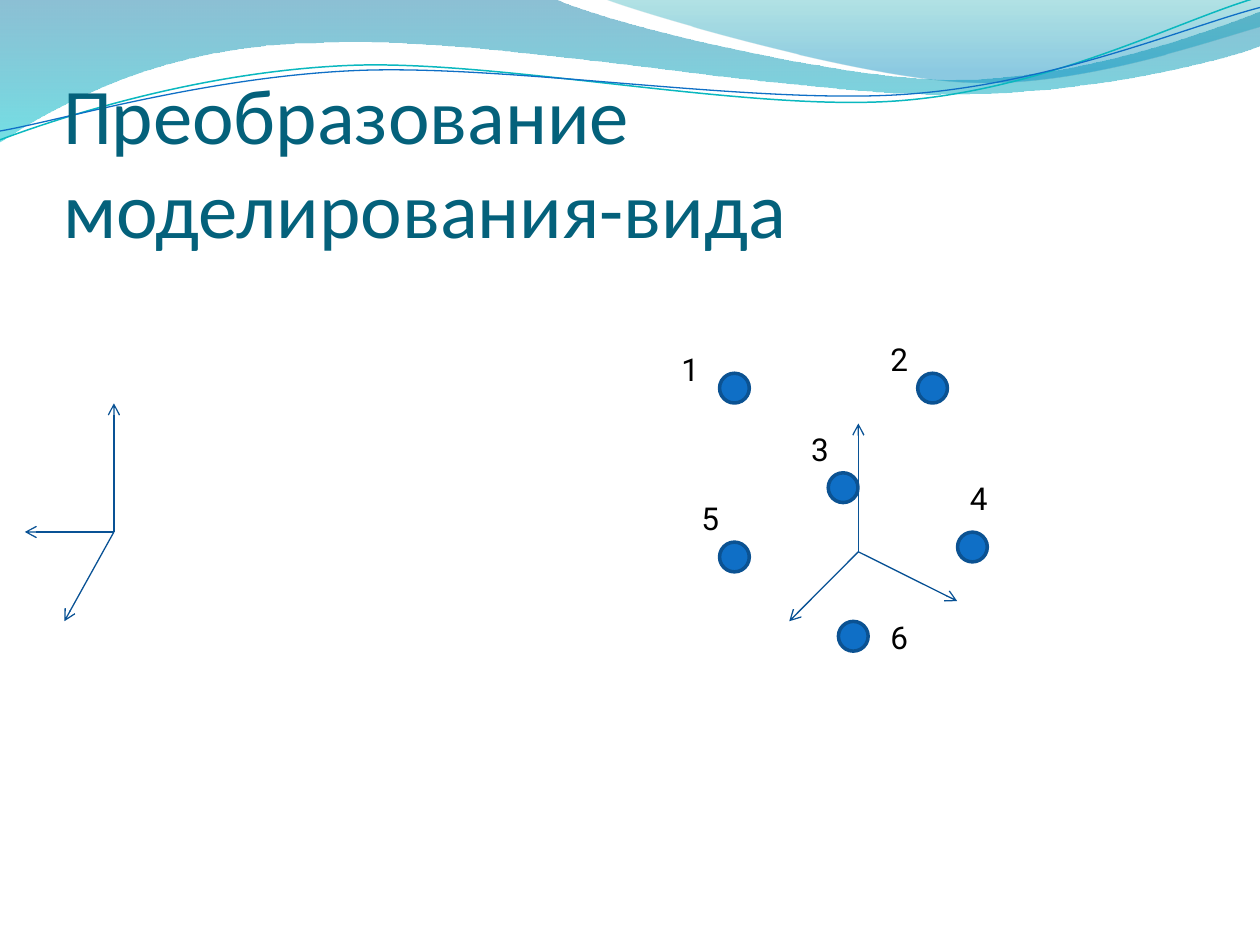
import math
from dataclasses import dataclass

import pptx
import pptx.dml.color
import pptx.enum.shapes
import pptx.enum.text
import pptx.oxml.ns
import pptx.util
from lxml import etree

Pt = pptx.util.Pt
qn = pptx.oxml.ns.qn
rgb = pptx.dml.color.RGBColor.from_string


@dataclass
class Theme:
    title_font: str = "Calibri"
    label_font: str = "Roboto"
    title_size: float = 45
    label_size: float = 18
    title: str = "04617B"
    label: str = "000000"
    vertex: str = "0F6FC6"
    vertex_edge: str = "0B5292"
    axis: str = "095295"
    teal_line: str = "0AB8BF"
    blue_line: str = "0F6FC6"
    long_wave: tuple = ((0, "0074A1", 45), (100, "00C6CF", 55))
    short_wave: tuple = ((0, "00A1A9", 30), (80, "008BBF", 45))


def add_curve(slide, master, segments, close):
    points = [(Pt(x), Pt(y)) for segment in segments for x, y in segment]
    builder = slide.shapes.build_freeform(*points[0])
    builder.add_line_segments(points[1:], close=close)
    shape = builder.convert_to_shape()
    shape.shadow.inherit = False
    corners = iter(shape.element.xpath(".//a:lnTo"))
    for segment in segments[1:]:
        first = next(corners)
        if len(segment) == 3:
            first.tag = qn("a:cubicBezTo")
            for _ in range(2):
                control = next(corners)
                first.append(control[0])
                control.getparent().remove(control)
    shape.element.nvSpPr.cNvPr.set("id", str(100 + len(master.shapes)))
    master.shapes.element.append(shape.element)
    return shape


theme = Theme()
deck = pptx.Presentation()
deck.slide_width, deck.slide_height = Pt(720), Pt(540)
slide = deck.slides.add_slide(deck.slide_layouts[5])

waves = [
    (theme.long_wave, [
        [(0, -0.7)],
        [(316.8, -0.7)],
        [(342.7, 12.2), (478.1, 45.4), (545.8, 45.4)],
        [(614.2, 45.4), (689.8, 18.7), (720, 6.5)],
        [(720.7, 25.9)],
        [(707.8, 31.7), (626.4, 54.7), (537.1, 54)],
        [(447.8, 54), (275, 20.2), (185, 24.5)],
        [(92.9, 25.2), (33.1, 59.8), (-0.7, 81.4)],
        [(0, -0.7)]]),
    (theme.short_wave, [
        [(344.9, -0.7)],
        [(366.5, 7.9), (491, 44.6), (553.7, 46.8)],
        [(616.3, 49.7), (691.9, 23), (720, 15.1)],
        [(720, 0)],
        [(344.9, -0.7)]]),
]
for stops, segments in waves:
    wave = add_curve(slide, deck.slide_master, segments, True)
    wave.line.fill.background()
    wave.fill.gradient()
    wave.fill.gradient_angle = 270
    nodes = wave.element.spPr.xpath(".//a:gs")
    for stop, node, (position, color, opacity) in zip(wave.fill.gradient_stops, nodes, stops):
        stop.color.rgb = rgb(color)
        node.set("pos", str(position * 1000))
        etree.SubElement(node[0], qn("a:alpha")).set("val", str(opacity * 1000))

tilt = 2.7
cosine, sine = math.cos(math.radians(tilt)), math.sin(math.radians(tilt))
ribbons = [
    (theme.teal_line, 0.85, (359.3, 41.4), [
        [(0, 79.9)],
        [(34.6, 67), (113.8, 41), (199.4, 37.4)],
        [(284.4, 33.8), (427, 64.1), (513.4, 57.6)],
        [(599.8, 51.1), (675.4, 10.8), (718.6, -1.4)]]),
    (theme.blue_line, 0.75, (359.6, 42.5), [
        [(0, 74.9)],
        [(33.8, 69.1), (118.1, 43.9), (203.8, 40.3)],
        [(290.2, 36.7), (429.8, 59.8), (516.2, 54)],
        [(601.9, 48.2), (678.2, 15.1), (720, 4.3)]]),
]
for color, weight, (center_x, center_y), segments in ribbons:
    level = [
        [(center_x + (x - center_x) * cosine - (y - center_y) * sine,
          center_y + (x - center_x) * sine + (y - center_y) * cosine)
         for x, y in segment]
        for segment in segments
    ]
    ribbon = add_curve(slide, deck.slide_master, level, False)
    ribbon.rotation = 360 - tilt
    ribbon.fill.background()
    ribbon.line.color.rgb = rgb(color)
    ribbon.line.width = Pt(weight)

title = slide.shapes.title
title.left, title.top, title.width, title.height = Pt(36), Pt(55.4), Pt(654), Pt(90)
heading = title.text_frame
heading.text = "Преобразование моделирования-вида"
heading.word_wrap = True
heading.auto_size = pptx.enum.text.MSO_AUTO_SIZE.NONE
heading.vertical_anchor = pptx.enum.text.MSO_ANCHOR.BOTTOM
heading.margin_left = heading.margin_right = heading.margin_bottom = 0
heading.margin_top = Pt(3.6)
line = heading.paragraphs[0]
line.alignment = pptx.enum.text.PP_ALIGN.LEFT
line.font.name = theme.title_font
line.font.size = Pt(theme.title_size)
line.font.color.rgb = rgb(theme.title)

vertices = [
    ((411.2, 213.3), (382.3, 196.6)),
    ((524.4, 213.3), (501.8, 190.8)),
    ((473.3, 270.2), (456.5, 241.9)),
    ((547.2, 304.1), (547.2, 270)),
    ((411.2, 309.8), (393.8, 281.5)),
    ((479.1, 355.1), (501.8, 349.4)),
]
for number, ((x, y), (label_x, label_y)) in enumerate(vertices, 1):
    group = slide.shapes.add_group_shape()
    vertex = group.shapes.add_shape(
        pptx.enum.shapes.MSO_SHAPE.OVAL, Pt(x), Pt(y), Pt(17), Pt(17))
    vertex.shadow.inherit = False
    vertex.fill.solid()
    vertex.fill.fore_color.rgb = rgb(theme.vertex)
    vertex.line.color.rgb = rgb(theme.vertex_edge)
    vertex.line.width = Pt(2)

    label = group.shapes.add_textbox(Pt(label_x), Pt(label_y), Pt(22.5), Pt(29)).text_frame
    label.text = str(number)
    label.word_wrap = True
    label.auto_size = pptx.enum.text.MSO_AUTO_SIZE.SHAPE_TO_FIT_TEXT
    digit = label.paragraphs[0]
    digit.font.name = theme.label_font
    digit.font.size = Pt(theme.label_size)
    digit.font.color.rgb = rgb(theme.label)

axis_systems = [
    ((490.5, 315.3), [(547, 343.5), (451, 355), (490.5, 242)]),
    ((65.1, 304), [(36.8, 355), (65.1, 230.5), (14.2, 304)]),
]
for origin, tips in axis_systems:
    for tip in tips:
        axis = slide.shapes.add_connector(
            pptx.enum.shapes.MSO_CONNECTOR.STRAIGHT, *map(Pt, origin + tip))
        axis.line.color.rgb = rgb(theme.axis)
        axis.line.width = Pt(0.75)
        stroke = axis.element.spPr.find(qn("a:ln"))
        etree.SubElement(stroke, qn("a:tailEnd")).set("type", "arrow")
        etree.SubElement(axis.element.spPr, qn("a:effectLst"))

deck.save("out.pptx")
